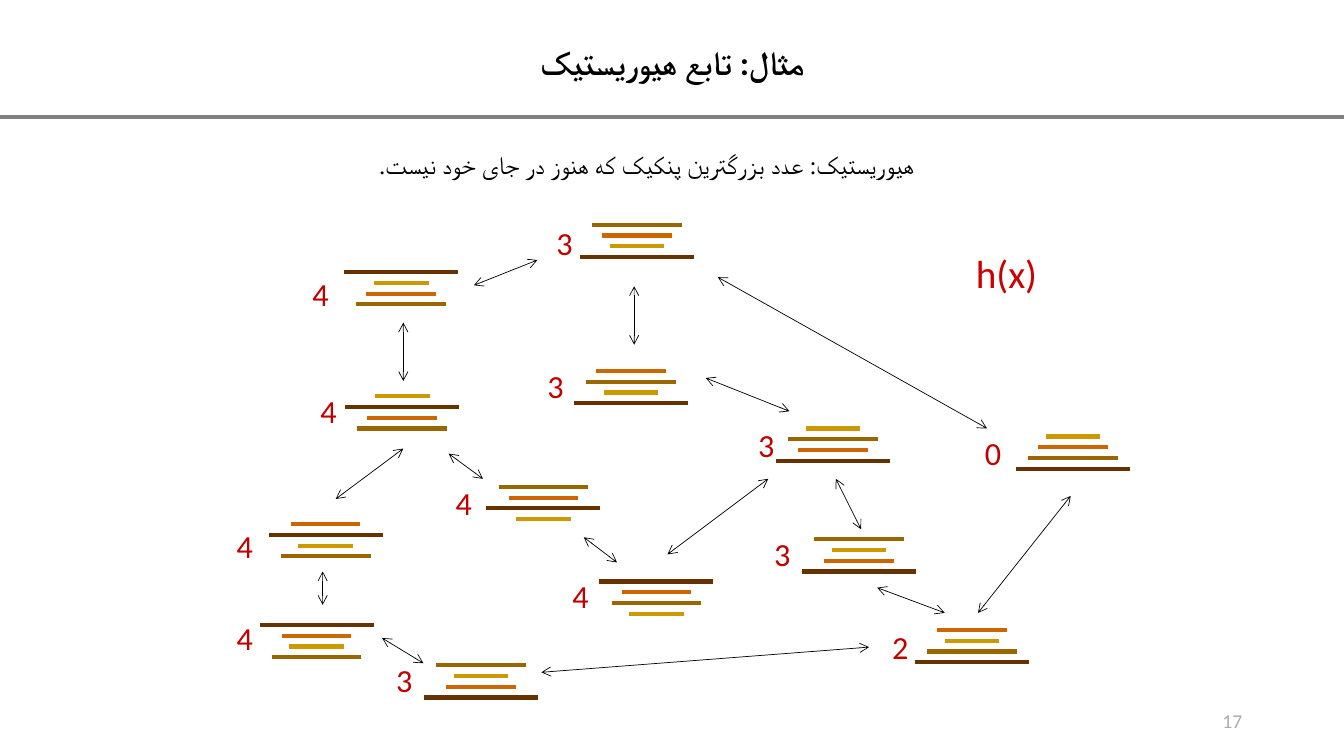
from lxml import etree
from pptx import Presentation
from pptx.dml.color import RGBColor
from pptx.enum.shapes import MSO_CONNECTOR
from pptx.enum.text import MSO_ANCHOR, PP_ALIGN
from pptx.oxml.ns import qn
from pptx.util import Inches, Pt

STRAIGHT = MSO_CONNECTOR.STRAIGHT
TOP, MIDDLE = MSO_ANCHOR.TOP, MSO_ANCHOR.MIDDLE
LEFT, CENTER, RIGHT = PP_ALIGN.LEFT, PP_ALIGN.CENTER, PP_ALIGN.RIGHT

BLACK = RGBColor(0x00, 0x00, 0x00)
RULE_GRAY = RGBColor(0x80, 0x80, 0x80)
NUMBER_GRAY = RGBColor(0xAF, 0xAB, 0xAB)
COST_RED = RGBColor(0xC0, 0x00, 0x00)
FORMULA_RED = RGBColor(0xCC, 0x00, 0x00)

PANCAKES = {
    1: (0.54, RGBColor(0xCC, 0x99, 0x00)),
    2: (0.69, RGBColor(0xCC, 0x66, 0x00)),
    3: (0.89, RGBColor(0x99, 0x66, 0x00)),
    4: (1.13, RGBColor(0x66, 0x33, 0x00)),
}
STACK_HEIGHT = 0.32

# (stack centre, stack top, pancakes from the top, cost, cost left, cost top)
STATES = [
    (3.98, 2.70, (4, 1, 2, 3), "4", 3.00, 2.67),
    (6.32, 2.23, (3, 2, 1, 4), "3", 5.42, 2.17),
    (10.64, 4.33, (1, 2, 3, 4), "0", 9.67, 4.25),
    (9.64, 6.25, (2, 1, 3, 4), "2", 8.75, 6.17),
    (8.52, 5.35, (3, 1, 2, 4), "3", 7.58, 5.25),
    (8.26, 4.25, (1, 3, 2, 4), "3", 7.42, 4.17),
    (6.26, 3.68, (2, 3, 1, 4), "3", 5.33, 3.58),
    (5.39, 4.83, (3, 2, 4, 1), "4", 4.42, 4.75),
    (6.51, 5.77, (4, 2, 3, 1), "4", 5.58, 5.67),
    (4.77, 6.60, (3, 1, 2, 4), "3", 3.83, 6.50),
    (3.23, 5.20, (2, 4, 1, 3), "4", 2.25, 5.17),
    (3.14, 6.20, (4, 2, 1, 3), "4", 2.25, 6.08),
    (3.99, 3.93, (1, 4, 2, 3), "4", 3.08, 3.83),
]

MOVES = [
    (5.33, 2.58, 4.70, 2.83),
    (4.00, 3.78, 4.00, 3.20),
    (3.33, 4.95, 4.00, 4.45),
    (4.79, 4.75, 4.45, 4.50),
    (3.20, 6.00, 3.20, 5.67),
    (4.20, 6.58, 3.79, 6.33),
    (8.62, 6.42, 5.37, 6.67),
    (6.12, 5.58, 5.79, 5.33),
    (7.62, 4.75, 6.62, 5.50),
    (7.00, 3.75, 7.83, 4.08),
    (6.29, 2.84, 6.29, 3.42),
    (9.79, 4.25, 7.12, 2.75),
    (8.29, 4.75, 8.54, 5.25),
    (8.70, 5.83, 9.37, 6.08),
    (9.70, 6.08, 10.62, 4.92),
]


class PancakeSlide:
    """Draws the elements of a pancake search graph on one slide."""

    def __init__(self, slide):
        self.slide = slide

    def fill_text(self, frame, text, size, color, font="Calibri", align=LEFT,
                  anchor=TOP, bold=False, rtl=False):
        frame.word_wrap = True
        frame.vertical_anchor = anchor
        paragraph = frame.paragraphs[0]
        paragraph.alignment = align
        run = paragraph.add_run()
        run.text = text
        run.font.size = Pt(size)
        run.font.bold = bold
        run.font.color.rgb = color
        run.font.name = font
        if rtl:
            paragraph._p.get_or_add_pPr().set("rtl", "1")
            script_font = etree.SubElement(run._r.get_or_add_rPr(), qn("a:cs"))
            script_font.set("typeface", font)
        return paragraph

    def title(self, text, left, top, width, height):
        heading = self.slide.shapes.title
        heading.left, heading.top = Inches(left), Inches(top)
        heading.width, heading.height = Inches(width), Inches(height)
        paragraph = self.fill_text(heading.text_frame, text, 24, BLACK, align=CENTER,
                                   anchor=MIDDLE, bold=True, rtl=True)
        paragraph.line_spacing = 0.9

    def label(self, text, left, top, width, height, size, color, **style):
        box = self.slide.shapes.add_textbox(
            Inches(left), Inches(top), Inches(width), Inches(height))
        self.fill_text(box.text_frame, text, size, color, **style)

    def line(self, x1, y1, x2, y2, color, weight):
        connector = self.slide.shapes.add_connector(
            STRAIGHT, Inches(x1), Inches(y1), Inches(x2), Inches(y2))
        connector.line.color.rgb = color
        connector.line.width = Pt(weight)
        etree.SubElement(connector._element.spPr, qn("a:effectLst"))
        return connector

    def move(self, x1, y1, x2, y2):
        arrow = self.line(x1, y1, x2, y2, BLACK, 0.5)
        outline = arrow._element.spPr.find(qn("a:ln"))
        for end in ("a:headEnd", "a:tailEnd"):
            etree.SubElement(outline, qn(end)).set("type", "arrow")

    def stack(self, center, top, order):
        for level, pancake in enumerate(order):
            width, color = PANCAKES[pancake]
            y = top + level * STACK_HEIGHT / (len(order) - 1)
            self.line(center - width / 2, y, center + width / 2, y, color, 3)


def main():
    deck = Presentation()
    deck.slide_width, deck.slide_height = Inches(13.33), Inches(7.5)
    graph = PancakeSlide(deck.slides.add_slide(deck.slide_layouts[5]))

    graph.line(0, 1.16, 13.33, 1.16, RULE_GRAY, 3)
    graph.label("17", 9.42, 6.95, 3, 0.4, 14, NUMBER_GRAY,
                align=RIGHT, anchor=MIDDLE)
    graph.title("مثال: تابع هیوریستیک", 0.73, 0.17, 11.88, 0.94)
    graph.label("هیوریستیک: عدد بزرگترین پنکیک که هنوز در جای خود نیست.",
                2.15, 1.43, 8.53, 0.4, 18, BLACK,
                font="Times New Roman", align=CENTER, rtl=True)

    for center, top, order, cost, cost_left, cost_top in STATES:
        graph.stack(center, top, order)
        graph.label(cost, cost_left, cost_top, 0.33, 0.49, 23, COST_RED)
    for ends in MOVES:
        graph.move(*ends)
    graph.label("h(x)", 9.58, 2.42, 1.25, 0.57, 28, FORMULA_RED)

    deck.save("out.pptx")


if __name__ == "__main__":
    main()
